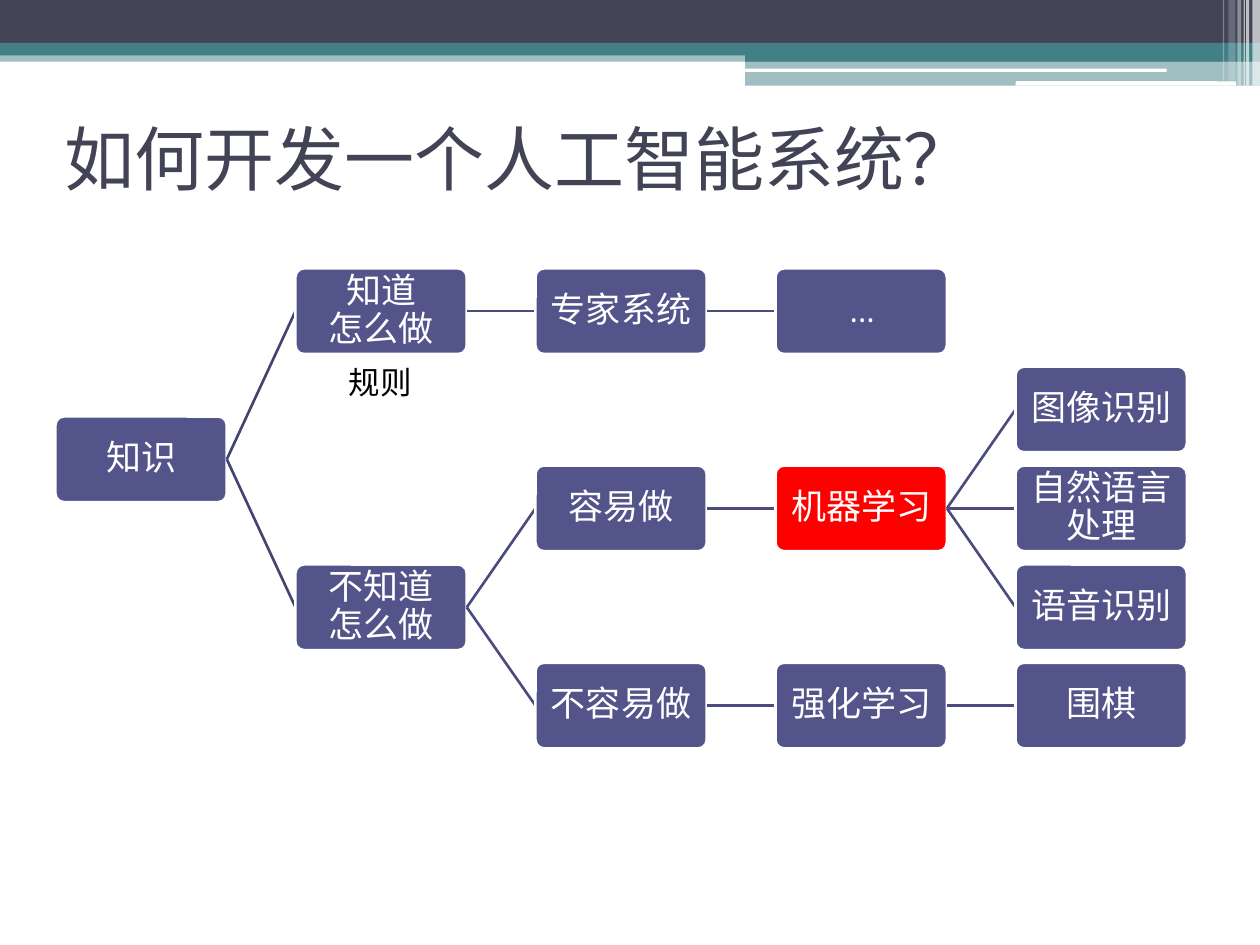
from lxml.etree import SubElement
from pptx import Presentation
from pptx.dml.color import RGBColor
from pptx.enum.shapes import MSO_CONNECTOR, MSO_SHAPE
from pptx.enum.text import MSO_ANCHOR, PP_ALIGN
from pptx.oxml.ns import qn
from pptx.util import Pt

SCALE = 4572
WIDE, HIGH = 272, 136


def px(n):
    return round(n) * SCALE


def tint(code):
    return RGBColor.from_string(code)


class Deck:
    font = "Cambria"
    dark, teal, white = "424456", "438086", "FFFFFF"
    fill, stem, twig = "53548A", "42436F", "4B4C7D"

    def __init__(self):
        self.file = Presentation()
        self.file.slide_width, self.file.slide_height = px(2000), px(1500)
        self.slide = self.file.slides.add_slide(self.file.slide_layouts[5])
        self.shapes = self.slide.shapes

    def place(self, kind, x, y, w, h, fill):
        shape = self.shapes.add_shape(kind, px(x), px(y), px(w), px(h))
        shape.shadow.inherit = False
        shape.fill.solid()
        shape.fill.fore_color.rgb = tint(fill)
        shape.line.fill.background()
        return shape

    def band(self, x, y, w, h, fill, alpha=100, kind=MSO_SHAPE.RECTANGLE):
        shape = self.place(kind, x, y, w, h, fill)
        if alpha < 100:
            color = shape._element.spPr.find(".//" + qn("a:srgbClr"))
            SubElement(color, qn("a:alpha")).set("val", str(alpha * 1000))

    def letter(self, frame, text, size, color, font=font, align=PP_ALIGN.LEFT, space=None):
        frame.text = text
        for para in frame.paragraphs:
            para.alignment = align
            para.line_spacing = space
            para.font.size = Pt(size)
            para.font.name = font
            para.font.color.rgb = tint(color)

    def title(self, text, x, y, w, h):
        shape = self.shapes.title
        shape.left, shape.top, shape.width, shape.height = px(x), px(y), px(w), px(h)
        shape.text_frame.vertical_anchor = MSO_ANCHOR.MIDDLE
        self.letter(shape.text_frame, text, 40, self.dark, "Cabin")

    def node(self, text, x, y, fill):
        shape = self.place(MSO_SHAPE.ROUNDED_RECTANGLE, x, y, WIDE, HIGH, fill)
        shape.adjustments[0] = 0.1
        shape.line.color.rgb = tint(self.white)
        shape.line.width = Pt(1.5)
        frame = shape.text_frame
        frame.word_wrap = True
        frame.vertical_anchor = MSO_ANCHOR.MIDDLE
        frame.margin_left = frame.margin_right = px(6)
        frame.margin_top = frame.margin_bottom = px(6)
        self.letter(frame, text, 20, self.white, align=PP_ALIGN.CENTER, space=0.9)

    def link(self, x, y, right, end, color):
        line = self.shapes.add_connector(
            MSO_CONNECTOR.STRAIGHT, px(x), px(y), px(right), px(end))
        line.line.color.rgb = tint(color)
        line.line.width = Pt(1.5)
        SubElement(line._element.spPr, qn("a:effectLst"))

    def label(self, text, x, y, w, h):
        box = self.shapes.add_textbox(px(x), px(y), px(w), px(h))
        box.text_frame.word_wrap = False
        self.letter(box.text_frame, text, 18, "000000")


BANDS = [
    (0, 80, 2000, 18, Deck.teal, 50),
    (0, 0, 2000, 68, Deck.dark),
    (0, 68, 2000, 20, Deck.teal),
    (1183, 78, 817, 20, Deck.teal),
    (1183, 97, 817, 39, Deck.teal, 50),
    (1183, 109, 669, 5, Deck.white, 100, MSO_SHAPE.ROUNDED_RECTANGLE),
    (1612, 129, 350, 7, Deck.white, 100, MSO_SHAPE.ROUNDED_RECTANGLE),
]
STRIPES = [
    (1988, 12, 136, 65), (1978, 5, 136, 65), (1974, 2, 136, 60),
    (1964, 6, 136, 40), (1950, 11, 128, 20), (1941, 2, 128, 30),
]
NODES = [
    ("知识", 0, 1.5, None),
    ("知道\n怎么做", 1, 0, 0),
    ("专家系统", 2, 0, 1),
    ("…", 3, 0, 2),
    ("不知道\n怎么做", 1, 3, 0),
    ("容易做", 2, 2, 4),
    ("机器学习", 3, 2, 5),
    ("图像识别", 4, 1, 6),
    ("自然语言处理", 4, 2, 6),
    ("语音识别", 4, 3, 6),
    ("不容易做", 2, 4, 4),
    ("强化学习", 3, 4, 10),
    ("围棋", 4, 4, 11),
]


def spot(col, row):
    return 88 + 381 * col, 426 + 156.5 * row


def main():
    deck = Deck()
    for band in BANDS:
        deck.band(*band)
    for x, w, h, alpha in STRIPES:
        deck.band(x, 0, w, h, deck.white, alpha)
    deck.title("如何开发一个人工智能系统？", 83, 133, 1800, 235)
    for text, col, row, root in NODES:
        x, y = spot(col, row)
        if root is not None:
            left, top = spot(*NODES[root][1:3])
            color = deck.stem if root == 0 else deck.twig
            deck.link(left + WIDE, top + HIGH / 2, x, y + HIGH / 2, color)
        deck.node(text, x, y, "FF0000" if text == "机器学习" else deck.fill)
    deck.label("规则", 534, 566, 142, 80)
    deck.file.save("out.pptx")


if __name__ == "__main__":
    main()
